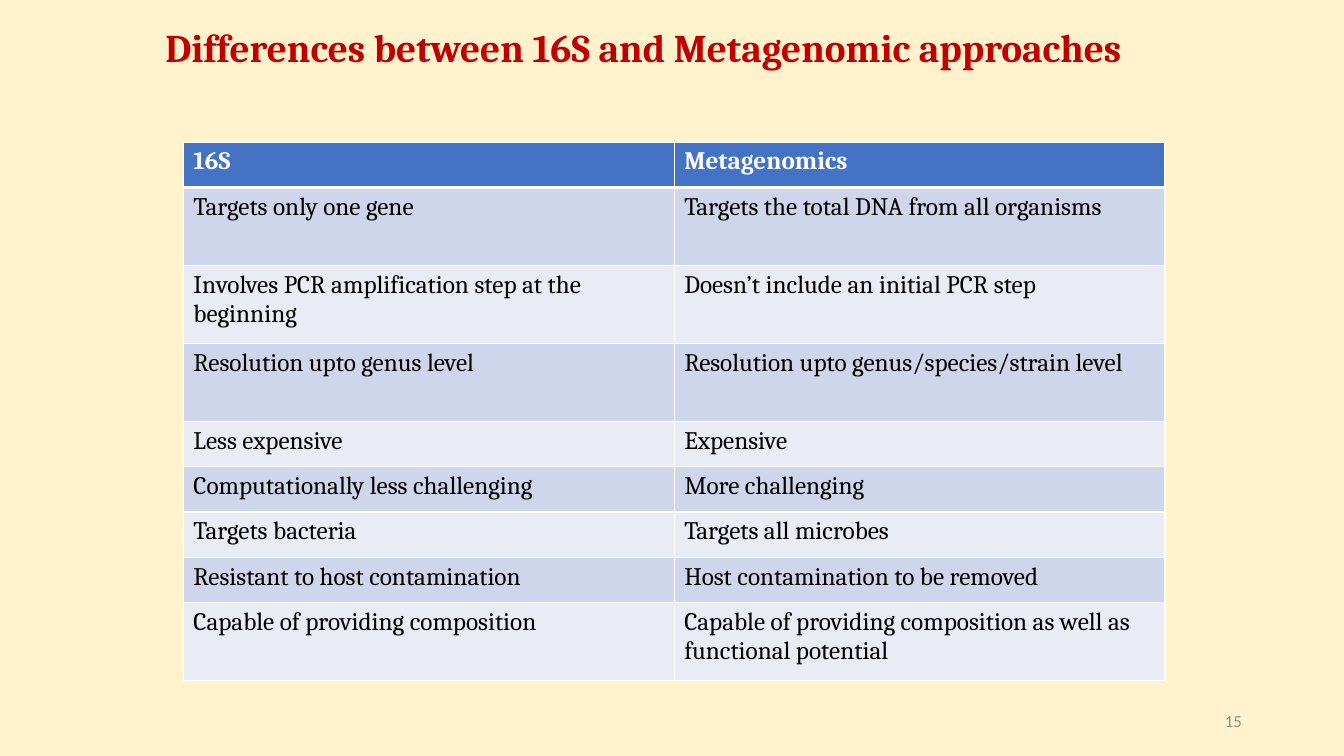
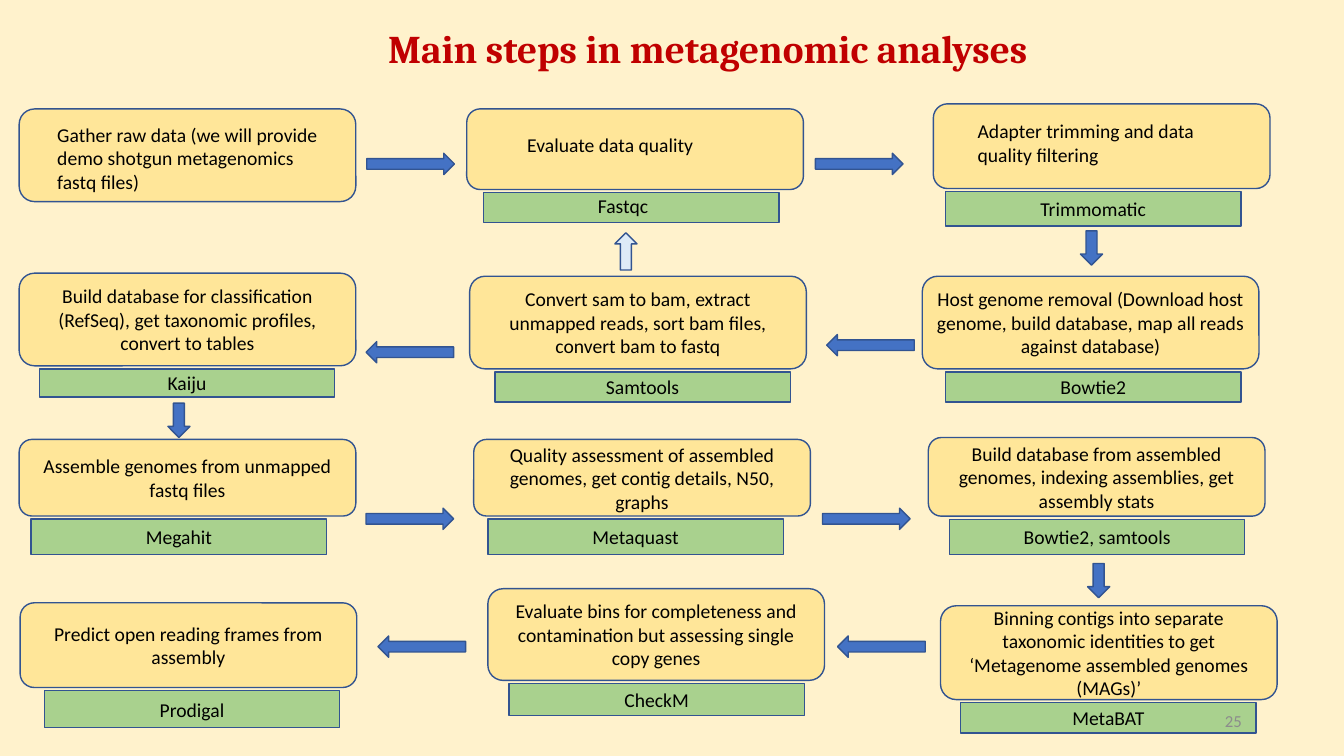
from lxml.etree import SubElement
from pptx import Presentation
from pptx.dml.color import RGBColor
from pptx.enum.shapes import MSO_SHAPE as Shape
from pptx.enum.text import MSO_ANCHOR as Anchor, MSO_AUTO_SIZE as AutoSize, PP_ALIGN as Align
from pptx.oxml.ns import qn
from pptx.util import Pt

COLOURS = {
    "background": "FFF2CC", "title": "C00000", "text": "000000", "white": "FFFFFF",
    "number": "8C8C8C", "outline": "325491", "step": "FFE699", "tool": "A9D18E",
    "arrow": "4472C4", "pale_arrow": "DEEBF7", "header": "4472C4",
    "odd_row": "CFD5EA", "even_row": "E9EBF5",
}
HEADING_FONT, BODY_FONT = "Cambria", "Calibri"
STEP_WIDTH, TOOL_WIDTH, TOOL_GAP = 240.5, 211, 2.2
ARROW_LENGTH, ARROW_WIDTH = 62.6, 15.2
SHORT_ARROW_LENGTH, SHORT_ARROW_WIDTH = 24.5, 15.8
INSETS = (7.2, 3.6, 7.2, 3.6)
CENTRED = {"align": Align.CENTER, "anchor": Anchor.MIDDLE}

COMPARISON = [
    ("16S", "Metagenomics", 32.4),
    ("Targets only one gene", "Targets the total DNA from all organisms", 55.7),
    ("Involves PCR amplification step at the beginning", "Doesn’t include an initial PCR step", 55.7),
    ("Resolution upto genus level", "Resolution upto genus/species/strain level", 55.7),
    ("Less expensive", "Expensive", 32.4),
    ("Computationally less challenging", "More challenging", 32.4),
    ("Targets bacteria", "Targets all microbes", 32.4),
    ("Resistant to host contamination", "Host contamination to be removed", 32.4),
    ("Capable of providing composition",
     "Capable of providing composition as well as functional potential", 55.7),
]

STEPS = [
    (13.7, 77.8, 66.2, "Gather raw data (we will provide demo shotgun metagenomics fastq files)",
     {"insets": (24, 6.5, 21, 0)}),
    (333.4, 77.8, 57.6, "Evaluate data quality", {"insets": (40.4, 14.5, 7.2, 0)}),
    (666.7, 74.2, 60.5, "Adapter trimming and data quality filtering", {"insets": (28.7, 7.8, 14.3, 0)}),
    (658.8, 197.3, 66.2,
     "Host genome removal (Download host genome, build database, map all reads against database)", CENTRED),
    (335.5, 197.3, 66.2,
     "Convert sam to bam, extract unmapped reads, sort bam files, convert bam to fastq", CENTRED),
    (13.7, 195.1, 66.2,
     "Build database for classification (RefSeq), get taxonomic profiles, convert to tables", CENTRED),
    (13.7, 313.9, 54.7, "Assemble genomes from unmapped fastq files", CENTRED),
    (338.4, 313.9, 54.7, "Quality assessment of assembled genomes, get contig details, N50, graphs", CENTRED),
    (663.1, 312.5, 56.2,
     "Build database from assembled genomes, indexing assemblies, get assembly stats", CENTRED),
    (671.8, 432.7, 67,
     "Binning contigs into separate taxonomic identities to get ‘Metagenome assembled genomes (MAGs)’",
     CENTRED),
    (348.5, 420.5, 65.5,
     "Evaluate bins for completeness and contamination but assessing single copy genes", CENTRED),
    (14.4, 430.6, 60.5, "Predict open reading frames from assembly", CENTRED),
]

TOOLS = [
    None,
    (345.6, 21.6, "Fastqc", {"insets": (81.4, 0.7, 7.2, 0)}),
    (675.4, 24.5, "Trimmomatic", CENTRED),
    (675.4, 21.6, "Bowtie2", CENTRED),
    (353.5, 21.6, "Samtools", CENTRED),
    (28.1, 20.2, "Kaiju", CENTRED),
    (22.3, 25.2, "Megahit", CENTRED),
    (348.5, 25.2, "Metaquast", CENTRED),
    (678.2, 25.2, "Bowtie2, samtools", CENTRED),
    (686.2, 21.6, "MetaBAT", CENTRED),
    (363.6, 23, "CheckM", CENTRED),
    (31.7, 26.6, "Prodigal", CENTRED),
]

LONG_ARROWS = {
    Shape.RIGHT_ARROW: [(262, 109.5), (582.5, 109.5), (261.5, 363), (587.5, 363)],
    Shape.LEFT_ARROW: [(590.5, 239), (261.5, 244), (270, 454.3), (598.3, 454.3)],
}
DOWN_ARROWS = [(771.8, 164.9), (119.9, 288), (776.9, 402.5)]


def colour(name):
    return RGBColor.from_string(COLOURS[name])


def paint(fill, name):
    fill.solid()
    fill.fore_color.rgb = colour(name)


def write(frame, text, size=14, font=BODY_FONT, ink="text", bold=False, align=Align.LEFT,
          anchor=Anchor.TOP, insets=INSETS, spacing=1.0):
    frame.word_wrap = True
    frame.auto_size = AutoSize.NONE
    frame.vertical_anchor = anchor
    frame.margin_left, frame.margin_top, frame.margin_right, frame.margin_bottom = map(Pt, insets)
    paragraph = frame.paragraphs[0]
    paragraph.alignment = align
    paragraph.line_spacing = spacing
    run = paragraph.add_run()
    run.text = text
    run.font.size = Pt(size)
    run.font.name = font
    run.font.bold = bold
    run.font.color.rgb = colour(ink)


def add_borders(cell, **widths):
    properties = cell._tc.get_or_add_tcPr()
    for side in "LRTB":
        border = SubElement(properties, qn(f"a:ln{side}"), w=str(Pt(widths.get(side, 1))))
        fill = SubElement(border, qn("a:solidFill"))
        SubElement(fill, qn("a:srgbClr"), val=COLOURS["white"])


class Deck:
    def __init__(self):
        self.presentation = Presentation()
        self.presentation.slide_width = Pt(960)
        self.presentation.slide_height = Pt(540)
        paint(self.presentation.slide_master.background.fill, "background")
        self.slide = None

    def new_slide(self, title, box, **style):
        self.slide = self.presentation.slides.add_slide(self.presentation.slide_layouts[5])
        shape = self.slide.shapes.title
        shape.left, shape.top, shape.width, shape.height = map(Pt, box)
        write(shape.text_frame, title, size=28, font=HEADING_FONT, ink="title", bold=True, **style)

    def shape(self, kind, left, top, width, height, fill, text=None, **style):
        shape = self.slide.shapes.add_shape(kind, Pt(left), Pt(top), Pt(width), Pt(height))
        shape.shadow.inherit = False
        paint(shape.fill, fill)
        shape.line.color.rgb = colour("outline")
        shape.line.width = Pt(1)
        if text:
            write(shape.text_frame, text, **style)

    def step(self, step, tool):
        left, top, height, text, style = step
        self.shape(Shape.FLOWCHART_ALTERNATE_PROCESS, left, top, STEP_WIDTH, height, "step", text, **style)
        if tool:
            tool_left, tool_height, name, tool_style = tool
            self.shape(Shape.RECTANGLE, tool_left, top + height + TOOL_GAP, TOOL_WIDTH, tool_height,
                       "tool", name, **tool_style)

    def table(self, rows, left, top, column_width):
        total_height = sum(row[-1] for row in rows)
        table = self.slide.shapes.add_table(
            len(rows), 2, Pt(left), Pt(top), Pt(2 * column_width), Pt(total_height)).table
        for column in table.columns:
            column.width = Pt(column_width)
        for index, (*texts, height) in enumerate(rows):
            table.rows[index].height = Pt(height)
            header = index == 0
            fill = "header" if header else ("even_row", "odd_row")[index % 2]
            for cell, text in zip(table.rows[index].cells, texts):
                add_borders(cell, T=3 if index == 1 else 1, B=3 if header else 1)
                paint(cell.fill, fill)
                write_cell(cell, text, header)

    def number(self, text):
        box = self.slide.shapes.add_textbox(Pt(678.2), Pt(500.4), Pt(216), Pt(28.8))
        write(box.text_frame, text, size=12, ink="number", align=Align.RIGHT, anchor=Anchor.MIDDLE)


def write_cell(cell, text, header):
    cell.vertical_anchor = Anchor.TOP
    run = cell.text_frame.paragraphs[0].add_run()
    run.text = text
    run.font.size = Pt(18)
    run.font.name = HEADING_FONT
    run.font.bold = header
    run.font.color.rgb = colour("white" if header else "text")


def main():
    deck = Deck()

    deck.new_slide("Differences between 16S and Metagenomic approaches", (110.9, 10, 773.3, 51),
                   anchor=Anchor.MIDDLE, spacing=0.9)
    deck.table(COMPARISON, 131, 101.5, 350.6)
    deck.number("15")

    deck.new_slide("Main steps in metagenomic analyses", (270, 13.7, 493.2, 41))
    for step, tool in zip(STEPS, TOOLS):
        deck.step(step, tool)
    for kind, places in LONG_ARROWS.items():
        for left, top in places:
            deck.shape(kind, left, top, ARROW_LENGTH, ARROW_WIDTH, "arrow")
    for left, top in DOWN_ARROWS:
        deck.shape(Shape.DOWN_ARROW, left, top, SHORT_ARROW_WIDTH, SHORT_ARROW_LENGTH, "arrow")
    deck.shape(Shape.UP_ARROW, 439.2, 166.3, SHORT_ARROW_WIDTH, 26.6, "pale_arrow")
    deck.number("25")

    deck.presentation.save("out.pptx")


if __name__ == "__main__":
    main()
